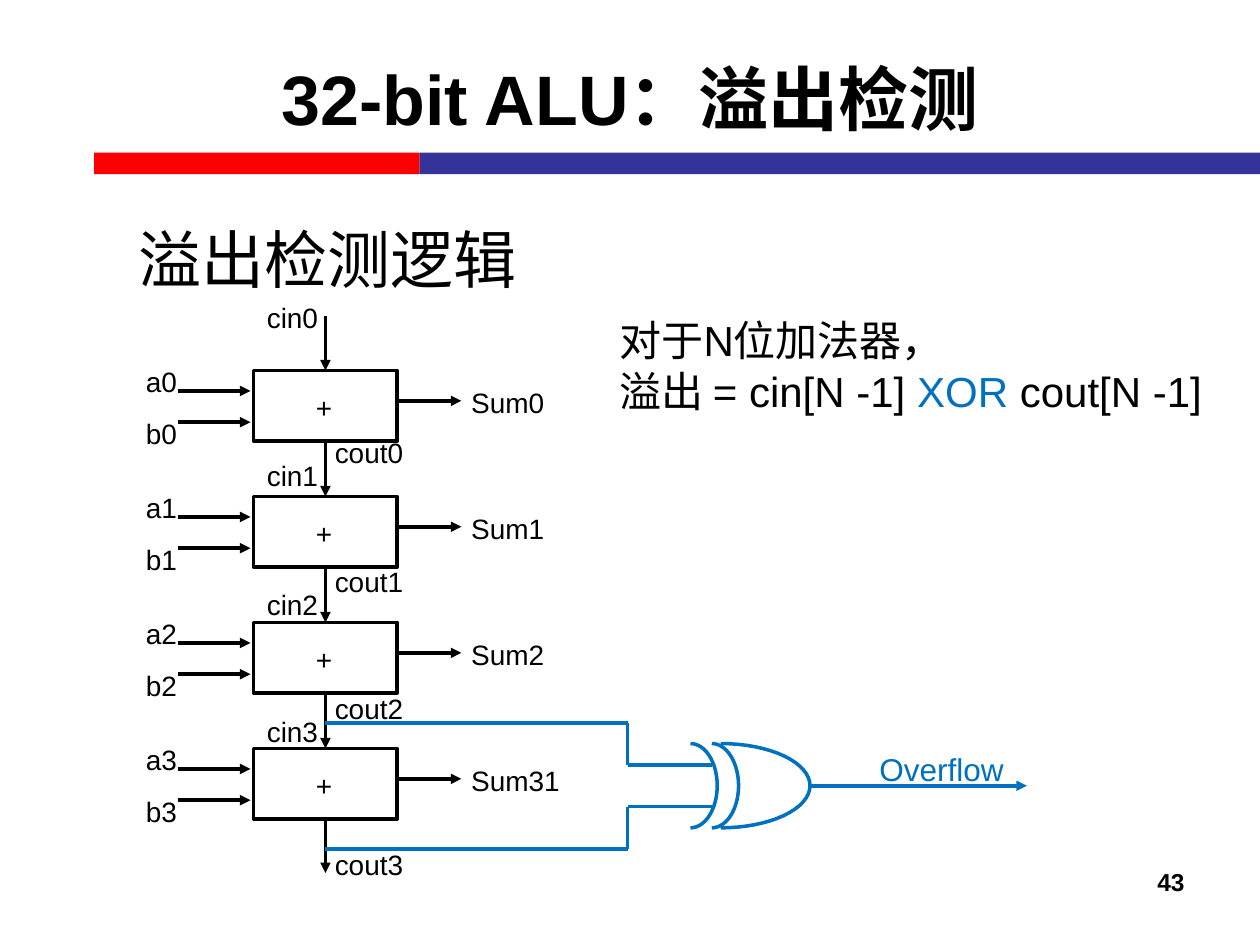
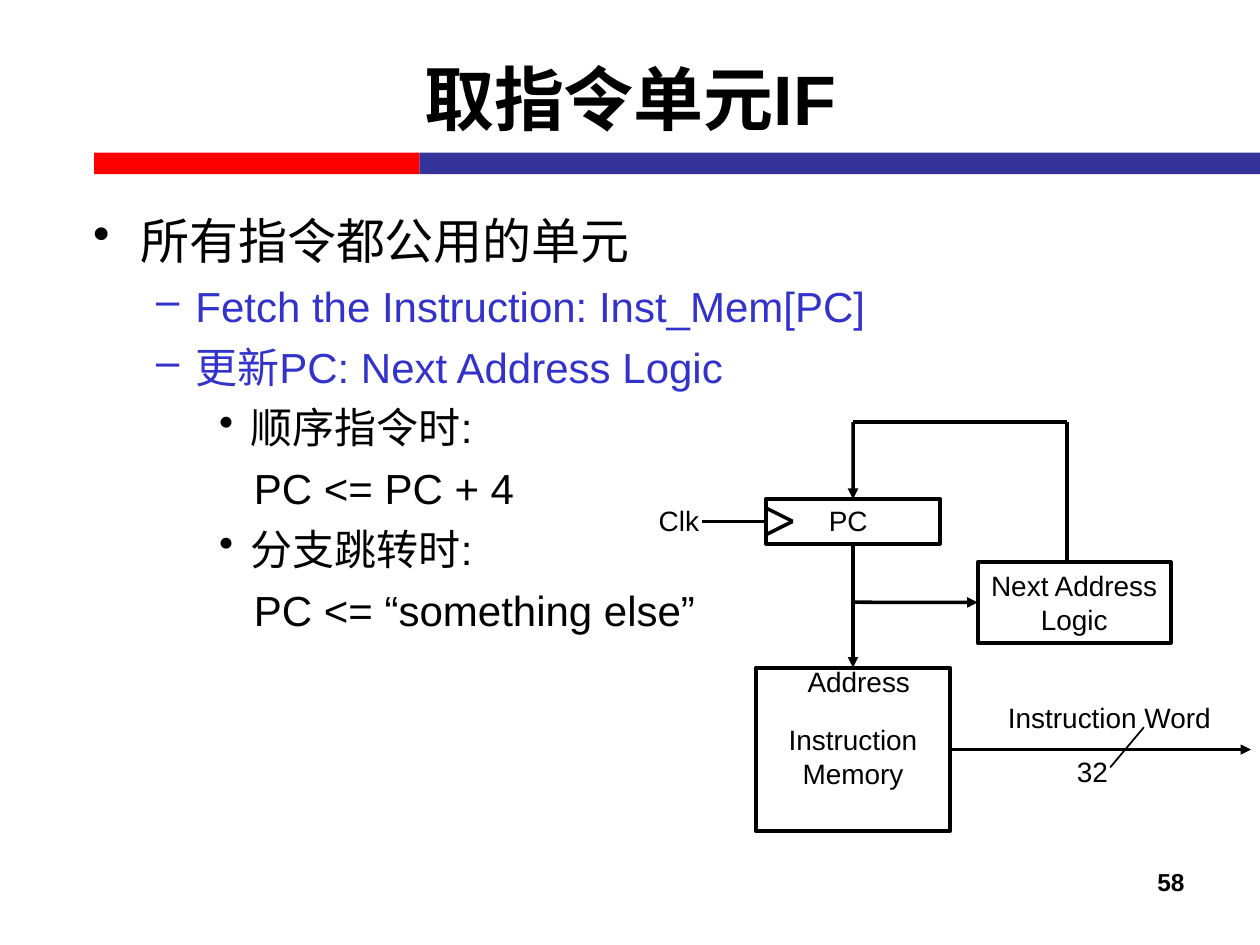
from dataclasses import dataclass
from math import cos, pi, sin

from lxml.etree import SubElement
from pptx import Presentation
from pptx.dml.color import RGBColor
from pptx.enum.shapes import MSO_CONNECTOR, MSO_SHAPE
from pptx.enum.text import MSO_ANCHOR, MSO_AUTO_SIZE, PP_ALIGN
from pptx.oxml.ns import qn
from pptx.shapes.autoshape import Shape
from pptx.slide import Slide
from pptx.text.text import _Paragraph
from pptx.util import Cm, Pt

COLORS = {
    "black": "000000",
    "red": "FF0000",
    "navy": "333399",
    "point": "3333CC",
    "blue": "0070C0",
}
FONT = "Arial"
TOP, LEFT, BOTTOM, RIGHT = range(4)
STAGE_PITCH = 2.54
LABEL_HEIGHT = 0.94


@dataclass(frozen=True)
class Box:
    left: float
    top: float
    width: float
    height: float = LABEL_HEIGHT

    def lengths(self) -> tuple[Cm, Cm, Cm, Cm]:
        return Cm(self.left), Cm(self.top), Cm(self.width), Cm(self.height)


@dataclass(frozen=True)
class Point:
    x: float
    y: float


@dataclass(frozen=True)
class Side:
    shape: Shape
    site: int


@dataclass(frozen=True)
class Wire:
    start: Point | Side
    end: Point | Side
    arrow: bool = True
    color: str = "black"
    width: float = 2


@dataclass(frozen=True)
class Label:
    text: str
    box: Box
    size: float = 16
    color: str = "black"
    align: PP_ALIGN = PP_ALIGN.LEFT


@dataclass(frozen=True)
class Indent:
    level: int
    margin: float
    hanging: float = 0
    bullet: str = ""


@dataclass(frozen=True)
class Item:
    text: str
    indent: Indent
    size: float = 24
    color: str = "black"


TOPIC = Indent(0, 0.95, 0.95, "•")
STEP = Indent(1, 2.06, 0.79, "–")
CASE = Indent(2, 3.18, 0.64, "•")
RULE = Indent(2, 3.24)


def rgb(color: str) -> RGBColor:
    return RGBColor.from_string(COLORS[color])


def add_run(paragraph: _Paragraph, text: str, size: float,
            color: str = "black", bold: bool = False) -> None:
    run = paragraph.add_run()
    run.text = text
    run.font.name = FONT
    run.font.size = Pt(size)
    run.font.bold = bold
    run.font.color.rgb = rgb(color)


def add_lines(shape: Shape, label: Label) -> None:
    frame = shape.text_frame
    frame.word_wrap = False
    for index, line in enumerate(label.text.split("\n")):
        paragraph = frame.add_paragraph() if index else frame.paragraphs[0]
        paragraph.alignment = label.align
        add_run(paragraph, line, label.size, label.color)


def add_label(slide: Slide, label: Label) -> None:
    shape = slide.shapes.add_textbox(*label.box.lengths())
    add_lines(shape, label)
    shape.text_frame.auto_size = MSO_AUTO_SIZE.SHAPE_TO_FIT_TEXT


def add_text_area(slide: Slide, box: Box) -> Shape:
    shape = slide.shapes.add_textbox(*box.lengths())
    shape.text_frame.word_wrap = True
    return shape


def add_band(slide: Slide, box: Box, color: str) -> None:
    band = slide.shapes.add_shape(MSO_SHAPE.RECTANGLE, *box.lengths())
    band.shadow.inherit = False
    band.fill.solid()
    band.fill.fore_color.rgb = rgb(color)
    band.line.fill.background()


def add_block(slide: Slide, box: Box, width: float) -> Shape:
    block = slide.shapes.add_shape(MSO_SHAPE.RECTANGLE, *box.lengths())
    block.shadow.inherit = False
    block.fill.background()
    block.line.color.rgb = rgb("black")
    block.line.width = Pt(width)
    return block


def add_wire(slide: Slide, wire: Wire) -> None:
    ends = [end if isinstance(end, Point) else Point(0, 0) for end in (wire.start, wire.end)]
    connector = slide.shapes.add_connector(
        MSO_CONNECTOR.STRAIGHT, *(Cm(value) for end in ends for value in (end.x, end.y)))
    if isinstance(wire.start, Side):
        connector.begin_connect(wire.start.shape, wire.start.site)
    if isinstance(wire.end, Side):
        connector.end_connect(wire.end.shape, wire.end.site)
    connector.line.color.rgb = rgb(wire.color)
    connector.line.width = Pt(wire.width)
    properties = connector.element.spPr
    if wire.arrow:
        SubElement(properties.find(qn("a:ln")), qn("a:tailEnd"), type="triangle")
    SubElement(properties, qn("a:effectLst"))


def add_route(slide: Slide, stops: list[Point | Side], color: str = "black",
              arrow: bool = False) -> None:
    for index, (start, end) in enumerate(zip(stops, stops[1:]), start=2):
        add_wire(slide, Wire(start, end, arrow and index == len(stops), color))


def add_half_ellipse(slide: Slide, center: Point, radius_x: float, radius_y: float) -> None:
    steps = 32
    angles = [pi * (step / steps - 0.5) for step in range(steps + 1)]
    points = [(Cm(center.x + radius_x * cos(angle)), Cm(center.y + radius_y * sin(angle)))
              for angle in angles]
    builder = slide.shapes.build_freeform(*points[0])
    builder.add_line_segments(points[1:], close=False)
    curve = builder.convert_to_shape()
    curve.shadow.inherit = False
    curve.fill.background()
    curve.line.color.rgb = rgb("blue")
    curve.line.width = Pt(2)


def add_titled_slide(presentation: Presentation, title: str, number: str) -> Slide:
    slide = presentation.slides.add_slide(presentation.slide_layouts.get_by_name("Title Only"))
    add_band(slide, Box(1.9, 3.08, 6.56, 0.43), "red")
    add_band(slide, Box(8.46, 3.08, 16.94, 0.43), "navy")

    heading = slide.shapes.title
    heading.left, heading.top, heading.width, heading.height = Box(1.27, 0.38, 22.86, 3.18).lengths()
    heading.text_frame.vertical_anchor = MSO_ANCHOR.MIDDLE
    paragraph = heading.text_frame.paragraphs[0]
    paragraph.alignment = PP_ALIGN.CENTER
    add_run(paragraph, title, 40, bold=True)

    footer = add_text_area(slide, Box(18.21, 17.35, 5.92, 1.32))
    paragraph = footer.text_frame.paragraphs[0]
    paragraph.alignment = PP_ALIGN.RIGHT
    add_run(paragraph, number, 14, bold=True)
    return slide


def add_adder(slide: Slide, index: int, sum_name: str) -> Shape:
    top = 7.47 + STAGE_PITCH * index
    adder = add_block(slide, Box(5.11, top, 2.9, 1.42), 2)
    for label in (
        Label(f"a{index}", Box(2.69, top - 0.25, 1.14)),
        Label(f"b{index}", Box(2.69, top + 0.81, 1.14)),
        Label("+", Box(6.12, top + 0.28, 0.84)),
        Label(sum_name, Box(9.25, top + 0.18, 2.31 if len(sum_name) > 4 else 2.01)),
    ):
        add_label(slide, label)
    for left, right, drop in ((3.58, 5.05, 0.41), (3.58, 5.05, 1.04), (8.03, 9.3, 0.61)):
        add_wire(slide, Wire(Point(left, top + drop), Point(right, top + drop)))
    return adder


def build_overflow_slide(presentation: Presentation) -> None:
    slide = add_titled_slide(presentation, "32-bit ALU：溢出检测", "43")
    subtitle = add_text_area(slide, Box(2.54, 4.32, 21.59, 1.9))
    add_run(subtitle.text_frame.paragraphs[0], "溢出检测逻辑", 36)

    sums = ("Sum0", "Sum1", "Sum2", "Sum31")
    adders = [add_adder(slide, index, name) for index, name in enumerate(sums)]
    carry_x = 6.56
    carries = [Point(carry_x, 6.38), *adders, Point(carry_x, 17.6)]
    for source, target in zip(carries, carries[1:]):
        start = source if isinstance(source, Point) else Side(source, BOTTOM)
        end = target if isinstance(target, Point) else Side(target, TOP)
        add_wire(slide, Wire(start, end))
    for index, top in enumerate((5.94, 9.12, 11.71, 14.27)):
        add_label(slide, Label(f"cin{index}", Box(5.13, top, 1.55)))
    for index, top in enumerate((8.66, 11.25, 13.82, 16.97)):
        add_label(slide, Label(f"cout{index}", Box(6.5, top, 1.91)))

    formula = add_text_area(slide, Box(12.24, 6.22, 12.7, 2.31)).text_frame
    add_run(formula.paragraphs[0], "对于N位加法器，", 24)
    equation = formula.add_paragraph()
    for text, color in (("溢出 = cin[N -1] ", "black"), ("XOR ", "blue"), ("cout[N -1]", "black")):
        add_run(equation, text, 24, color)

    gate_y, turn_x, input_x = 15.84, 12.65, 14.35
    for tap_y, input_y in ((14.58, 15.42), (17.12, 16.26)):
        add_route(slide, [Point(carry_x, tap_y), Point(turn_x, tap_y),
                          Point(turn_x, input_y), Point(input_x, input_y)], "blue")
    for left, radius in ((14.53, 1.8), (14.35, 0.54), (13.92, 0.54)):
        add_half_ellipse(slide, Point(left, gate_y), radius, 0.85)
    add_wire(slide, Wire(Point(16.3, gate_y), Point(20.7, gate_y), color="blue"))
    add_label(slide, Label("Overflow", Box(17.48, 14.99, 3.05, 1.02), 18, "blue"))


def add_outline(slide: Slide, box: Box, items: list[Item]) -> None:
    frame = add_text_area(slide, box).text_frame
    frame.margin_left = frame.margin_right = Cm(0.18)
    frame.margin_top = frame.margin_bottom = Cm(0.08)
    for index, item in enumerate(items):
        paragraph = frame.add_paragraph() if index else frame.paragraphs[0]
        indent = item.indent
        paragraph.level = indent.level
        properties = paragraph._p.get_or_add_pPr()
        properties.set("marL", str(Cm(indent.margin)))
        properties.set("indent", str(-Cm(indent.hanging)))
        if indent.bullet:
            SubElement(properties, qn("a:buChar"), char=indent.bullet)
        if index:
            paragraph.space_before = Pt(6)
        add_run(paragraph, item.text, item.size, item.color)


def build_fetch_slide(presentation: Presentation) -> None:
    slide = add_titled_slide(presentation, "取指令单元IF", "58")
    add_outline(slide, Box(1.7, 4.17, 22.76, 8.74), [
        Item("所有指令都公用的单元", TOPIC, 28),
        Item("Fetch the Instruction: Inst_Mem[PC]", STEP, color="point"),
        Item("更新PC: Next Address Logic", STEP, color="point"),
        Item("顺序指令时:", CASE),
        Item("PC <= PC + 4", RULE),
        Item("分支跳转时:", CASE),
        Item("PC <= “something else”", RULE),
    ])

    memory = add_block(slide, Box(15.24, 13.46, 3.91, 3.3), 2.25)
    counter = add_block(slide, Box(15.44, 10.06, 3.51, 0.9), 2.25)
    next_box = Box(19.71, 11.33, 3.89, 1.63)
    next_logic = add_block(slide, next_box, 2.25)
    add_lines(next_logic, Label("Next Address\nLogic", next_box, align=PP_ALIGN.CENTER))

    for label in (
        Label("Address", Box(16.03, 13.28, 2.59)),
        Label("Instruction\nMemory", Box(15.62, 14.45, 3.15, 1.63), align=PP_ALIGN.CENTER),
        Label("PC", Box(16.46, 10.03, 1.3)),
        Label("Clk", Box(13.03, 10.03, 1.32)),
        Label("32", Box(21.46, 15.09, 1.14)),
        Label("Instruction Word", Box(20.07, 14, 4.65)),
    ):
        add_label(slide, label)

    counter_x, loop_x, loop_y = 17.2, 21.51, 8.51
    clock_y, branch_y, word_y = 10.51, 12.14, 15.11
    clock_tip = Point(15.98, clock_y)
    add_route(slide, [Point(15.46, clock_y - 0.26), clock_tip, Point(15.46, clock_y + 0.26)])
    add_route(slide, [Point(loop_x, next_box.top), Point(loop_x, loop_y),
                      Point(counter_x, loop_y), Side(counter, TOP)], arrow=True)
    for wire in (
        Wire(Point(14.15, clock_y), Side(counter, LEFT), arrow=False),
        Wire(Side(counter, BOTTOM), Side(memory, TOP)),
        Wire(Point(counter_x, branch_y), Side(next_logic, LEFT)),
        Wire(Side(memory, RIGHT), Point(25.22, word_y)),
        Wire(Point(23.06, 14.66), Point(22.38, 15.47), arrow=False, width=1),
    ):
        add_wire(slide, wire)


def main() -> None:
    presentation = Presentation()
    presentation.slide_width = Cm(25.4)
    presentation.slide_height = Cm(19.05)
    build_overflow_slide(presentation)
    build_fetch_slide(presentation)
    presentation.save("out.pptx")


if __name__ == "__main__":
    main()
